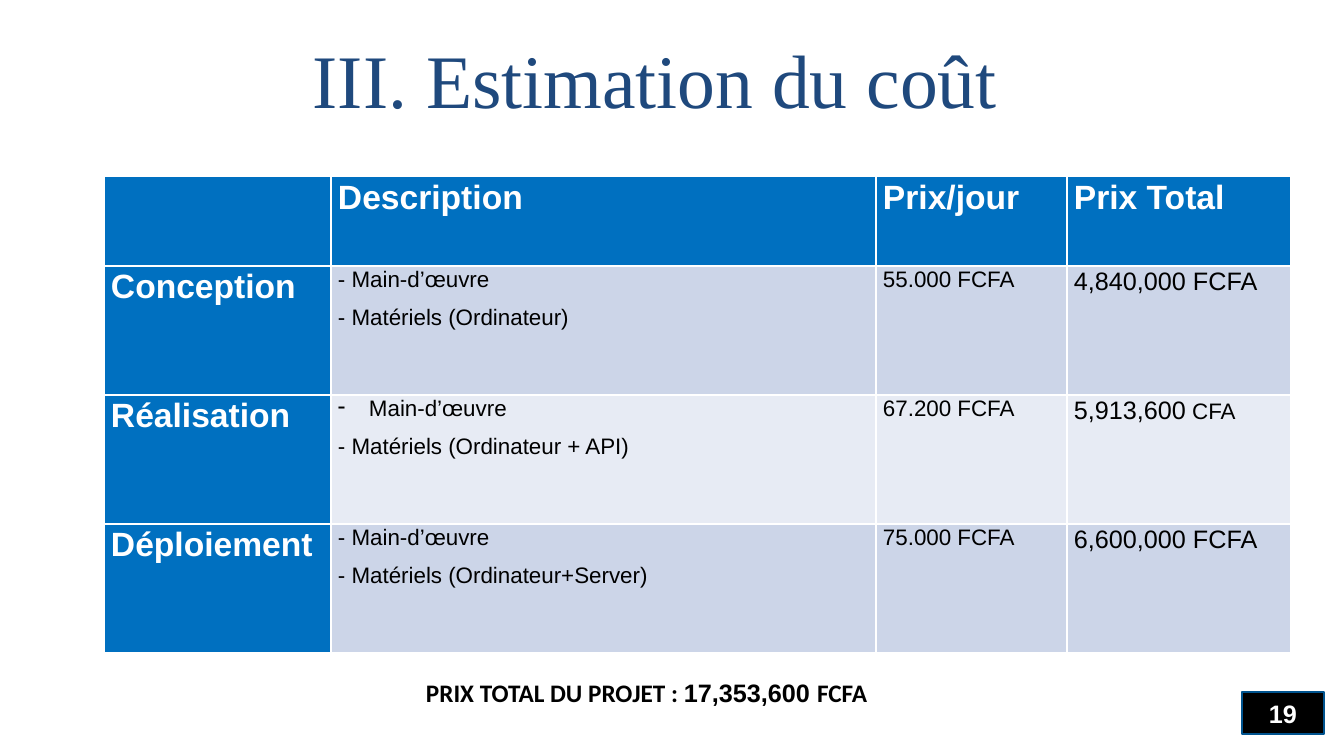
from lxml.etree import SubElement
from pptx import Presentation
from pptx.dml.color import RGBColor
from pptx.enum.shapes import MSO_SHAPE
from pptx.enum.text import MSO_ANCHOR, PP_ALIGN
from pptx.oxml.ns import qn
from pptx.util import Pt

# Content
TITLE = "III. Estimation du coût"
HEADINGS = ["", "Description", "Prix/jour", "Prix Total"]
PHASES = [
    ("Conception", ["- Main-d’œuvre", "- Matériels (Ordinateur)"],
     "55.000 FCFA", [("4,840,000 FCFA", 18)]),
    ("Réalisation", ["Main-d’œuvre", "- Matériels (Ordinateur + API)"],
     "67.200 FCFA", [("5,913,600", 18), (" CFA", 16)]),
    ("Déploiement", ["- Main-d’œuvre", "- Matériels (Ordinateur+Server)"],
     "75.000 FCFA", [("6,600,000 FCFA", 18)]),
]
TOTAL = [("PRIX TOTAL DU PROJET\u00a0: ", "Calibri"),
         ("17,353,600 ", "Arial"), ("FCFA", "Calibri")]
PAGE_NUMBER = "19"

COLORS = {"title": "1F497D", "header": "0070C0", "band": "CCD5E8",
          "light": "E7EBF4", "white": "FFFFFF", "black": "000000",
          "outline": "00538E"}

# Layout in px
SLIDE_SIZE = (1344, 756)
TITLE_BOX = (17, 44, 1276, 80)
TABLE_CORNER = (104, 176)
COLUMN_WIDTHS = [227, 545, 191, 224]
HEADER_HEIGHT, PHASE_HEIGHT = 90, 129
TOTAL_BOX = (416, 670, 672, 41)
PAGE_BOX = (1242, 692, 82, 42)
CELL_INSET, BULLET_INDENT = 7, 31


def px(value):
    return round(value * 914400 / 100.8)


def box(lengths):
    return [px(length) for length in lengths]


def color(name):
    return RGBColor.from_string(COLORS[name])


def style(run, size, ink, bold=False, font="Arial"):
    run.font.size = Pt(size)
    run.font.name = font
    run.font.bold = bold
    run.font.color.rgb = color(ink)


def space(paragraph):
    paragraph.line_spacing = 1.07
    paragraph.space_after = Pt(8)


def fill_cell(cell, lines, fill, ink="black", bold=False):
    """Each line is a list of (text, size) pieces."""
    cell.fill.solid()
    cell.fill.fore_color.rgb = color(fill)
    cell.margin_left = cell.margin_right = px(CELL_INSET)
    cell.margin_top = cell.margin_bottom = 0
    frame = cell.text_frame
    for index, pieces in enumerate(lines):
        paragraph = frame.add_paragraph() if index else frame.paragraphs[0]
        space(paragraph)
        for text, size in pieces:
            run = paragraph.add_run()
            run.text = text
            style(run, size, ink, bold)


def add_dash(paragraph):
    properties = paragraph._p.get_or_add_pPr()
    properties.set("marL", str(px(BULLET_INDENT)))
    properties.set("indent", str(-px(BULLET_INDENT)))
    SubElement(properties, qn("a:buFontTx"))
    SubElement(properties, qn("a:buChar")).set("char", "-")


presentation = Presentation()
presentation.slide_width, presentation.slide_height = box(SLIDE_SIZE)
slide = presentation.slides.add_slide(presentation.slide_layouts[5])

# Title
title = slide.shapes.title
title.left, title.top, title.width, title.height = box(TITLE_BOX)
title.text_frame.text = TITLE
title.text_frame.vertical_anchor = MSO_ANCHOR.MIDDLE
heading = title.text_frame.paragraphs[0]
heading.alignment = PP_ALIGN.CENTER
heading.line_spacing = 0.9
heading.space_before = Pt(10)
style(heading.runs[0], 54, "title", font="Times New Roman")

# Cost table
row_heights = [HEADER_HEIGHT] + [PHASE_HEIGHT] * len(PHASES)
costs = slide.shapes.add_table(
    len(row_heights), len(COLUMN_WIDTHS),
    *box((*TABLE_CORNER, sum(COLUMN_WIDTHS), sum(row_heights)))).table
for column, width in zip(costs.columns, COLUMN_WIDTHS):
    column.width = px(width)
for row, height in zip(costs.rows, row_heights):
    row.height = px(height)

for column, text in enumerate(HEADINGS):
    lines = [[(text, 24)]] if text else []
    fill_cell(costs.cell(0, column), lines, "header", "white", True)
for row, (phase, items, daily, total) in enumerate(PHASES, start=1):
    band = "band" if row % 2 else "light"
    fill_cell(costs.cell(row, 0), [[(phase, 24)]], "header", "white", True)
    fill_cell(costs.cell(row, 1), [[(item, 16)] for item in items], band)
    fill_cell(costs.cell(row, 2), [[(daily, 16)]], band)
    fill_cell(costs.cell(row, 3), [total], band)
    for paragraph in costs.cell(row, 1).text_frame.paragraphs:
        if not paragraph.text.startswith("-"):
            add_dash(paragraph)

# Project total
project_total = slide.shapes.add_textbox(*box(TOTAL_BOX)).text_frame
project_total.word_wrap = True
total_line = project_total.paragraphs[0]
space(total_line)
for text, font in TOTAL:
    run = total_line.add_run()
    run.text = text
    style(run, 18, "black", True, font)

# Page number
page = slide.shapes.add_shape(MSO_SHAPE.RECTANGLE, *box(PAGE_BOX))
page.shadow.inherit = False
page.fill.solid()
page.fill.fore_color.rgb = color("black")
page.line.color.rgb = color("outline")
page.line.width = Pt(1)
page.text_frame.text = PAGE_NUMBER
page.text_frame.vertical_anchor = MSO_ANCHOR.MIDDLE
page_line = page.text_frame.paragraphs[0]
page_line.alignment = PP_ALIGN.CENTER
style(page_line.runs[0], 18, "white", True)

presentation.save("out.pptx")
